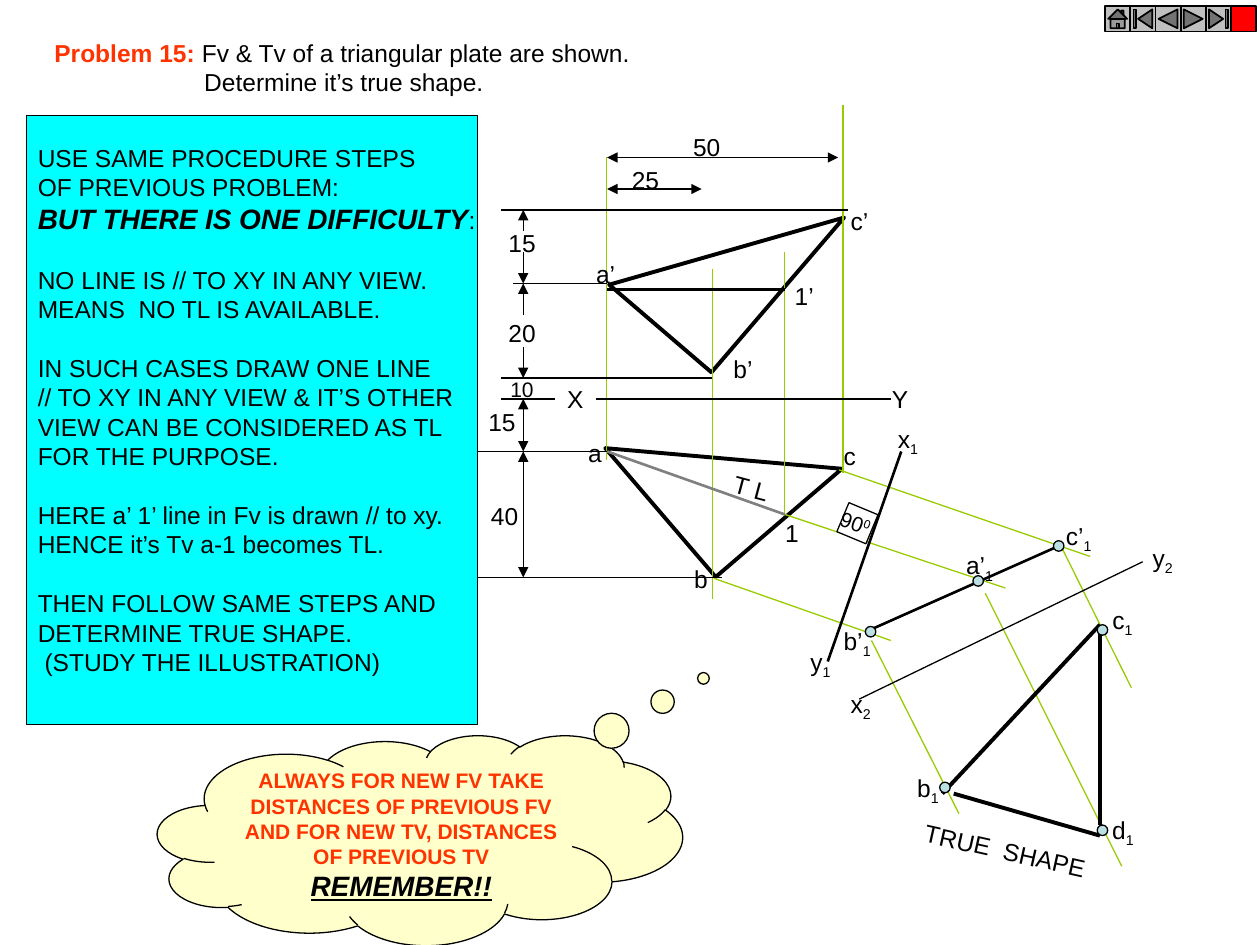
"""Build the slide on finding the true shape of a triangular plate."""
from lxml import etree
from pptx import Presentation
from pptx import util as u
from pptx.dml.color import RGBColor
from pptx.enum import shapes, text
from pptx.oxml.ns import qn

BLACK, GREEN, GREY, RED, WHITE = "000000", "99CC00", "808080", "FF3300", "FFFFFF"
PALE, CYAN, CREAM, SILVER = "BBE0E3", "00FFFF", "FFFFCC", "C0C0C0"
KIND = shapes.MSO_SHAPE


def paint(target, colour):
    if hasattr(target, "solid"):
        target.solid()
        target.fore_color.rgb = RGBColor.from_string(colour)
    else:
        target.color.rgb = RGBColor.from_string(colour)


def write(para, words, colour=BLACK, size=14, base=0, **style):
    span = para.add_run()
    span.text = words
    for name, value in {"name": "Arial", "size": u.Pt(size), **style}.items():
        setattr(span.font, name, value)
    paint(span.font, colour)
    if base:
        span.font._element.set("baseline", str(base))


deck = Presentation()
deck.slide_width, deck.slide_height = u.Pt(720), u.Pt(540)
page = deck.slides.add_slide(deck.slide_layouts[6])

strokes = {
    (GREEN, 0.75, ""): [
        (448.5, 294, 574.5, 336), (479.5, 268.5, 623, 318), (408, 330.5, 509, 366),
        (498, 366, 548, 465), (563, 339, 641, 495), (605, 309.5, 646.5, 393),
        (448.3, 144, 448.3, 294), (346.7, 89.5, 346.7, 263),
        (407.3, 154, 407.3, 342), (481.7, 60, 481.7, 270)],
    (GREY, 1.5, ""): [(347, 258, 448.5, 294)],
    (BLACK, 0.75, ""): [
        (653, 321, 491, 399.5), (340.5, 228, 509, 228), (317, 228, 286.5, 228),
        (347, 162, 293, 162), (407, 216, 286.5, 216), (484.5, 120, 286.5, 120),
        (347, 258, 268.5, 258), (412.5, 330, 232.5, 330)],
    (BLACK, 1.5, ""): [
        (515, 258, 473, 378), (497, 360, 605, 312), (347, 165.5, 448.5, 165.5)],
    (BLACK, 2.25, ""): [
        (628.5, 357, 538.5, 453.5), (545, 453.5, 628.5, 477.5),
        (628.5, 471.5, 628.5, 357)],
    (BLACK, 0.75, "tail"): [
        (299, start, 299, end) for start, end in (
            (246, 228), (198, 216), (180, 162), (144, 162), (132, 120), (240, 258))],
    (BLACK, 0.75, "head tail"): [
        (347, 90, 479, 90), (347, 108, 401, 108), (299, 258, 299, 330)],
}

plates = [
    (KIND.RIGHT_TRIANGLE, 357, 105, 116.5, 77, 310.6, WHITE, 2.25),
    (KIND.RIGHT_TRIANGLE, 365, 214.5, 97, 95, 49.4, WHITE, 2.25),
]
points = [(494.5, 358), (556, 329), (602, 309), (627, 357), (627, 471.5), (537, 447)]
buttons = [
    KIND.ACTION_BUTTON_HOME, KIND.ACTION_BUTTON_BEGINNING,
    KIND.ACTION_BUTTON_BACK_OR_PREVIOUS, KIND.ACTION_BUTTON_FORWARD_OR_NEXT,
    KIND.ACTION_BUTTON_END, KIND.ACTION_BUTTON_CUSTOM,
]
covers = [(KIND.OVAL, left, top, 6, 6, 0, PALE, 0.75) for left, top in points]
covers += [
    (KIND.RECTANGLE, 481, 290, 18, 18, 22.6, WHITE, 0.75),
    (KIND.RECTANGLE, 15, 66, 258, 348, 0, CYAN, 0.75),
]
covers += [
    (kind, 631.5 + 14.4 * place, 3.6, 14.4, 14.4, 0,
     "FF0000" if kind == KIND.ACTION_BUTTON_CUSTOM else SILVER, 1)
    for place, kind in enumerate(buttons)
]
covers.append((KIND.CLOUD_CALLOUT, 90, 420, 300, 120, 0, CREAM, 0.75))

for forms, pens in ((plates, strokes), (covers, {})):
    for kind, left, top, width, height, turn, colour, weight in forms:
        form = page.shapes.add_shape(kind, *map(u.Pt, (left, top, width, height)))
        form.rotation = turn
        form.shadow.inherit = False
        paint(form.fill, colour)
        paint(form.line, BLACK)
        form.line.width = u.Pt(weight)
        if turn == 49.4:
            form.element.spPr.find(qn("a:xfrm")).set("flipH", "1")
    for (colour, weight, arrows), routes in pens.items():
        for route in routes:
            line = page.shapes.add_connector(
                shapes.MSO_CONNECTOR.STRAIGHT, *map(u.Pt, route))
            paint(line.line, colour)
            line.line.width = u.Pt(weight)
            outline = line.element.spPr.find(qn("a:ln"))
            for end in arrows.split():
                etree.SubElement(outline, qn(f"a:{end}End"), type="triangle")
            etree.SubElement(line.element.spPr, qn("a:effectLst"))

cloud = form
cloud.adjustments[0], cloud.adjustments[1] = 0.54, -0.77
frame = cloud.text_frame
frame.vertical_anchor = text.MSO_ANCHOR.MIDDLE
warning = ("ALWAYS FOR NEW FV TAKE DISTANCES OF PREVIOUS FV "
           "AND FOR NEW TV, DISTANCES OF PREVIOUS TV")
write(frame.paragraphs[0], warning, RED, 12, bold=True)
write(frame.add_paragraph(), "REMEMBER!!", size=16, bold=True, italic=True, underline=True)
for para in frame.paragraphs:
    para.alignment = text.PP_ALIGN.CENTER

labels = [
    ("x", "1", 506, 238.5, 27), ("y", "1", 456, 366, 27),
    ("c’", "1", 602, 294, 30), ("b’", "1", 475, 354, 31), ("a’", "1", 545, 311, 31),
    ("x", "2", 479, 390, 27), ("y", "2", 651.5, 306.5, 27),
    ("b", "1", 517, 438, 28), ("c", "1", 628.5, 342, 27), ("d", "1", 628.5, 462, 28),
    ("TRUE  SHAPE", "", 520.5, 474, 108, 14, 12.7), ("T L", "", 412, 268.5, 48, 14, 15),
    ("90", "0", 473, 288, 32.5, 12, 19.7),
    ("c’", "", 479, 114, 26), ("a’", "", 333.5, 144.5, 27), ("b’", "", 412, 198.5, 27),
    ("1’", "", 447, 157, 27), ("a", "", 329, 247, 23), ("b", "", 389.5, 319, 23),
    ("c", "", 475, 248.5, 22), ("1", "", 441.5, 292.5, 23),
    ("X", "", 317, 216, 24), ("Y", "", 502.5, 216, 24),
    ("10", "", 284.5, 211.5, 28, 12), ("20", "", 283.5, 178, 31),
    ("15", "", 283.5, 126.5, 31), ("15", "", 272, 229, 31), ("40", "", 273.5, 283, 31),
    ("50", "", 389, 72, 31), ("25", "", 354, 90.5, 31),
]
for words, index, left, top, width, *extra in labels:
    size, turn = extra + [14, 0][len(extra):]
    box = page.shapes.add_textbox(*map(u.Pt, (left, top, width, size + 10)))
    box.rotation = turn
    box.text_frame.word_wrap = False
    box.text_frame.auto_size = text.MSO_AUTO_SIZE.SHAPE_TO_FIT_TEXT
    para = box.text_frame.paragraphs[0]
    write(para, words, size=size)
    if index:
        write(para, index, size=size, base=30000 if words == "90" else -25000)

heading = [["Problem 15:", " Fv & Tv of a triangular plate are shown."],
           ["Determine it’s true shape."]]
steps = [
    ["USE SAME PROCEDURE STEPS", "OF PREVIOUS PROBLEM:", "BUT THERE IS ONE DIFFICULTY:"],
    ["NO LINE IS // TO XY IN ANY VIEW.", "MEANS  NO TL IS AVAILABLE."],
    ["IN SUCH CASES DRAW ONE LINE", "// TO XY IN ANY VIEW & IT’S OTHER",
     "VIEW CAN BE CONSIDERED AS TL", "FOR THE PURPOSE."],
    ["HERE a’ 1’ line in Fv is drawn // to xy.", "HENCE it’s Tv a-1 becomes TL."],
    ["THEN FOLLOW SAME STEPS AND", "DETERMINE TRUE SHAPE.", " (STUDY THE ILLUSTRATION)"],
]
for place, blocks in (((24, 18, 345.5, 41), heading), ((14.5, 78, 265.5, 311), steps)):
    box = page.shapes.add_textbox(*map(u.Pt, place))
    frame = box.text_frame
    frame.word_wrap = False
    frame.auto_size = text.MSO_AUTO_SIZE.SHAPE_TO_FIT_TEXT
    para = frame.paragraphs[0]
    if blocks is heading:
        write(para, heading[0][0], RED, bold=True)
        write(para, heading[0][1])
        para = frame.add_paragraph()
        para._p.get_or_add_pPr().set("marL", str(u.Pt(85.6)))
        write(para, heading[1][0])
        continue
    for number, block in enumerate(blocks):
        for row, words in enumerate(block):
            if number or row:
                para = frame.add_paragraph()
            if number and not row:
                para.space_before = u.Pt(16.8)
            if words.startswith("BUT"):
                write(para, words[:-1], size=16, bold=True, italic=True)
                write(para, words[-1])
            else:
                write(para, words)

deck.save("out.pptx")
